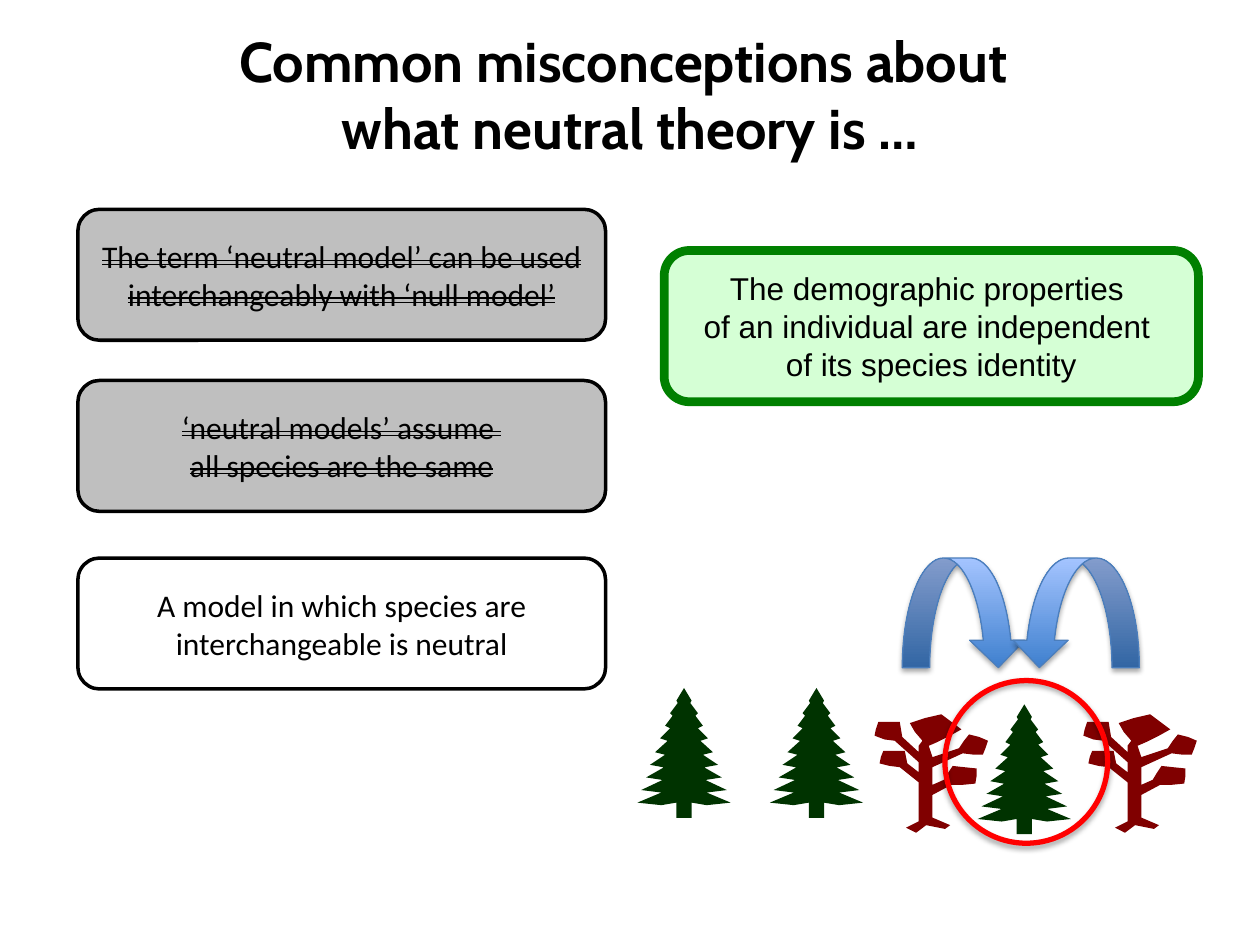
from math import atan2, cos, pi, sin

from lxml import etree
from pptx import Presentation
from pptx.dml.color import RGBColor
from pptx.enum.shapes import MSO_SHAPE
from pptx.enum.text import MSO_ANCHOR, MSO_AUTO_SIZE, PP_ALIGN
from pptx.oxml.ns import qn
from pptx.util import Cm, Pt

ROUNDED = MSO_SHAPE.ROUNDED_RECTANGLE
OVAL = MSO_SHAPE.OVAL
CURVED_ARROW = MSO_SHAPE.CURVED_DOWN_ARROW
TOP, MIDDLE = MSO_ANCHOR.TOP, MSO_ANCHOR.MIDDLE
CENTER = PP_ALIGN.CENTER
FIXED_SIZE = MSO_AUTO_SIZE.NONE

BLACK, WHITE, GREY = "000000", "FFFFFF", "BFBFBF"
GREEN, PALE_GREEN, RED = "008000", "CCFFCC", "FF0000"
FIR_GREEN, LEAF_RED = "003300", "800000"
ARROW_LINE, ARROW_DARK, ARROW_LIGHT = "4B7EBC", "3F80CE", "A4C4FF"

TITLE_FONT = {"name": "Cabin", "size": Pt(32), "bold": True}
CLAIM_FONT = {"name": "Calibri", "size": Pt(18), "bold": False}
DEFINITION_FONT = {"name": "Arial", "size": Pt(18), "bold": False}

TREE_UNIT = Cm(0.0254)  # trees are about 100 units high


def color(hex_string):
    return RGBColor.from_string(hex_string)


# Text and shape helpers

def write_lines(shape, lines, font_values, anchor, struck=False):
    frame = shape.text_frame
    frame_values = {"word_wrap": True, "auto_size": FIXED_SIZE, "vertical_anchor": anchor}
    for name, value in frame_values.items():
        setattr(frame, name, value)
    for index, line in enumerate(lines):
        paragraph = frame.paragraphs[0] if index == 0 else frame.add_paragraph()
        paragraph.alignment = CENTER
        run = paragraph.add_run()
        run.text = line
        for name, value in font_values.items():
            setattr(run.font, name, value)
        run.font.color.rgb = color(BLACK)
        if struck:
            run.font._element.set("strike", "dblStrike")


def fill_solid(shape, hex_string):
    shape.fill.solid()
    shape.fill.fore_color.rgb = color(hex_string)


def add_outlined(slide, kind, box, line_color, line_width):
    shape = slide.shapes.add_shape(kind, *map(Cm, box))
    shape.shadow.inherit = False
    shape.line.color.rgb = color(line_color)
    shape.line.width = Pt(line_width)
    return shape


def add_soft_shadow(shape):
    effects = shape._element.spPr.find(qn("a:effectLst"))
    shadow = etree.SubElement(effects, qn("a:outerShdw"), blurRad=str(Pt(3.1)),
                              dist=str(Pt(1.8)), dir="5400000", rotWithShape="0")
    shade = etree.SubElement(shadow, qn("a:srgbClr"), val=BLACK)
    etree.SubElement(shade, qn("a:alpha"), val="35000")


# Tree outlines, in tree units from the top left corner

def fir_outline(tiers=9, axis=37, crown_height=91, trunk_half=6, height=103):
    """Boughs widen tier by tier; the right side mirrors the left."""
    half = [(0, 0)]  # (distance from the axis, depth), from the top down
    for tier in range(1, tiers + 1):
        depth = crown_height * tier / tiers
        reach = axis * (tier / tiers) ** 0.8
        notch = reach * (0.85 - 0.04 * tier)
        half += [(reach, depth), (notch, depth + 2)]
    half += [(trunk_half, crown_height), (trunk_half, height)]
    left = [(axis - distance, depth) for distance, depth in half]
    right = [(axis + distance, depth) for distance, depth in reversed(half[1:])]
    return left + right


def leafy_limb(trunk_x, joint, thickness, center, radii, corners=9, opening=0.3):
    """A limb out to a ragged oval of leaves and back, running clockwise."""
    (center_x, center_y), (radius_x, radius_y) = center, radii
    toward_trunk = atan2((joint - center_y) / radius_y, (trunk_x - center_x) / radius_x)
    step = 2 * (pi - opening) / (corners - 1)
    leaves = []
    for corner in range(corners):
        angle = toward_trunk + opening + corner * step
        reach = 0.8 if corner % 2 else 1
        leaves.append((center_x + reach * radius_x * cos(angle),
                       center_y + reach * radius_y * sin(angle)))
    side = 1 if center_x < trunk_x else -1  # left limbs start at their lower edge
    edge = side * thickness / 2
    return [(trunk_x, joint + edge), *leaves, (trunk_x, joint - edge)]


def broadleaf_outline(trunk_left=37, trunk_right=48, ground=85):
    lower_left = leafy_limb(trunk_left, 50, 8, (17, 35), (13, 8))
    upper_left = leafy_limb(trunk_left, 34, 9, (13, 13), (13, 9))
    crown = [(trunk_left, 25), *leafy_limb(42, 30, 0, (50, 11), (21, 11))[1:-1],
             (trunk_right - 3, 25)]
    upper_right = leafy_limb(trunk_right, 38, 7, (81, 25), (12, 9))
    lower_right = leafy_limb(trunk_right, 60, 8, (71, 49), (15, 9))
    roots = [(trunk_right, ground - 3), (62, 88), (58, 91), (43, 88), (35, 94),
             (27, 90), (trunk_left, ground)]
    return lower_left + upper_left + crown + upper_right + lower_right + roots


def add_tree(slide, left, top, outline, fill_color):
    builder = slide.shapes.build_freeform(*outline[0], scale=TREE_UNIT)
    builder.add_line_segments(outline[1:], close=True)
    tree = builder.convert_to_shape(Cm(left), Cm(top))
    tree.shadow.inherit = False
    fill_solid(tree, fill_color)
    tree.line.fill.background()


# Regions of the slide

def add_title(slide, box):
    title = slide.shapes.title
    for name, value in zip(("left", "top", "width", "height"), box):
        setattr(title, name, Cm(value))
    write_lines(title, ["Common misconceptions about ", "what neutral theory is …"],
                TITLE_FONT, TOP)


def add_claims(slide, left, top, width, height):
    claims = [  # offset, lines, refuted
        (0, ["The term ‘neutral model’ can be used interchangeably with ‘null model’"], True),
        (3.45, ["‘neutral models’ assume ", "all species are the same"], True),
        (7.03, ["A model in which species are interchangeable is neutral"], False),
    ]
    for offset, lines, refuted in claims:
        claim = add_outlined(slide, ROUNDED, (left, top + offset, width, height), BLACK, 2)
        fill_solid(claim, GREY if refuted else WHITE)
        write_lines(claim, lines, CLAIM_FONT, MIDDLE, refuted)


def add_definition(slide, box):
    definition = add_outlined(slide, ROUNDED, box, GREEN, 5)
    fill_solid(definition, PALE_GREEN)
    fill_color = definition._element.spPr.find(qn("a:solidFill"))[0]
    etree.SubElement(fill_color, qn("a:alpha"), val="82000")
    write_lines(definition, ["The demographic properties ",
                             "of an individual are independent ",
                             "of its species identity"], DEFINITION_FONT, MIDDLE)


def add_swap_arrow(slide, box, mirrored):
    arrow = add_outlined(slide, CURVED_ARROW, box, ARROW_LINE, 0.75)
    arrow.fill.gradient()
    arrow.fill.gradient_angle = 90
    for stop, hex_string in zip(arrow.fill.gradient_stops, (ARROW_DARK, ARROW_LIGHT)):
        stop.color.rgb = color(hex_string)
    if mirrored:
        arrow._element.spPr.find(qn("a:xfrm")).set("flipH", "1")
    add_soft_shadow(arrow)


def add_forest(slide, left, top):
    fir, broadleaf = fir_outline(), broadleaf_outline()
    # Row of neighbouring trees
    for offset in (4.73, 8.94):
        add_tree(slide, left + offset, top + 3.15, broadleaf, LEAF_RED)
    for offset in (0, 2.67):
        add_tree(slide, left + offset, top + 2.62, fir, FIR_GREEN)
    # Circle around the focal tree
    circle = add_outlined(slide, OVAL, (left + 6.2, top + 2.47, 3.28, 3.28), RED, 3)
    circle.fill.background()
    add_soft_shadow(circle)
    # Arrows from the neighbours to the focal tree
    for offset, width, mirrored in ((5.34, 2.49, False), (7.55, 2.57, True)):
        add_swap_arrow(slide, (left + offset, top, width, 2.21), mirrored)
    add_tree(slide, left + 6.86, top + 2.95, fir, FIR_GREEN)


def main():
    presentation = Presentation()
    presentation.slide_width, presentation.slide_height = Cm(25.4), Cm(19.05)
    slide = presentation.slides.add_slide(presentation.slide_layouts[5])
    add_title(slide, (0, 0.41, 25.4, 4.7))
    add_claims(slide, 1.57, 4.22, 10.64, 2.64)
    add_forest(slide, 12.85, 11.25)
    add_definition(slide, (13.39, 5.05, 10.77, 3.05))
    presentation.save("out.pptx")


if __name__ == "__main__":
    main()
